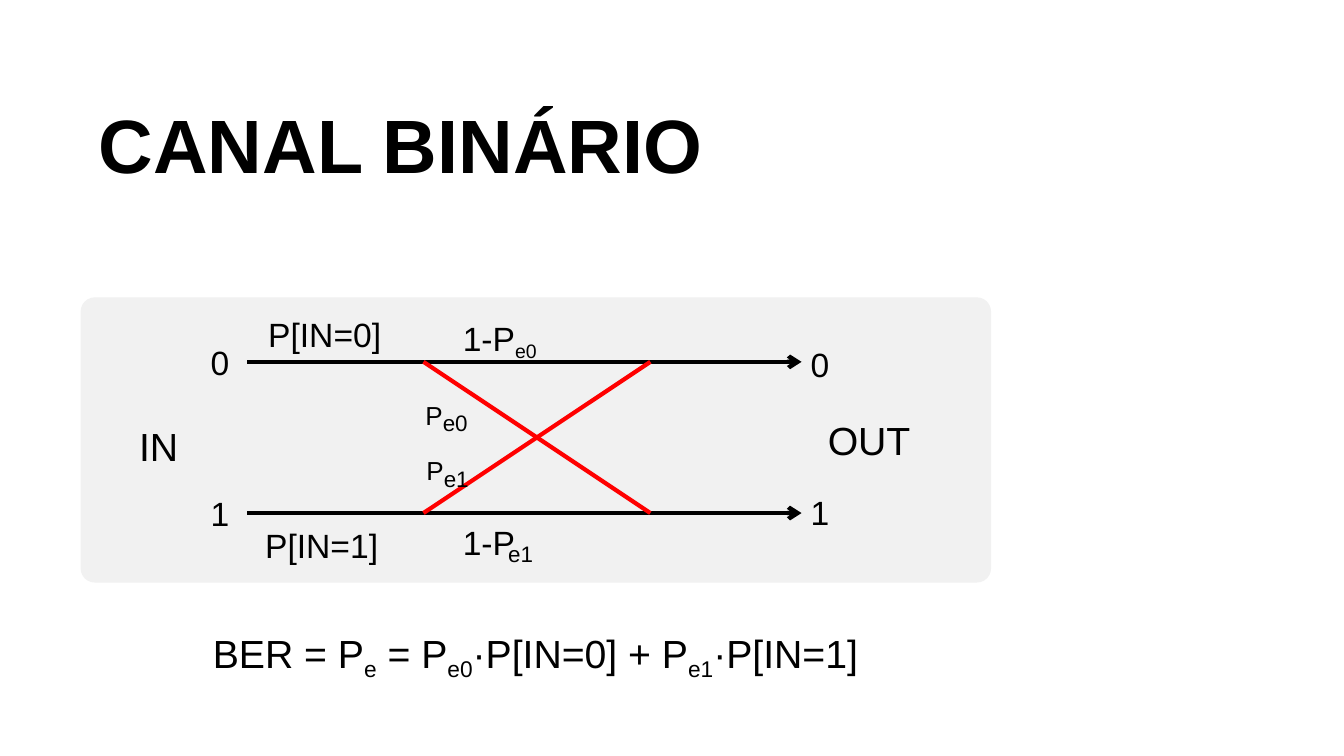
from lxml import etree
from pptx import Presentation
from pptx.dml.color import RGBColor
from pptx.enum.shapes import MSO_CONNECTOR, MSO_SHAPE
from pptx.enum.text import MSO_ANCHOR, PP_ALIGN
from pptx.oxml.ns import qn
from pptx.util import Inches, Pt

FONT = "Arial"
BLACK, RED, PANEL = "000000", "FF0000", "F1F1F1"


def color(hex_string):
    return RGBColor.from_string(hex_string)


def format_paragraph(p, size, bold=False, align=PP_ALIGN.LEFT):
    p.alignment = align
    p.font.name = FONT
    p.font.size = Pt(size)
    p.font.bold = bold
    p.font.color.rgb = color(BLACK)


def add_title(slide, text, left, top, width, height):
    title = slide.shapes.title
    title.left, title.top = Inches(left), Inches(top)
    title.width, title.height = Inches(width), Inches(height)
    tf = title.text_frame
    tf.text = text
    tf.vertical_anchor = MSO_ANCHOR.MIDDLE
    p = tf.paragraphs[0]
    format_paragraph(p, 54, bold=True)
    p.line_spacing = 0.9


def add_label(slide, parts, left, top, width, height, size, align=PP_ALIGN.LEFT):
    """Write parts, each (text, baseline percent[, own size]), in one line."""
    box = slide.shapes.add_textbox(Inches(left), Inches(top), Inches(width), Inches(height))
    tf = box.text_frame
    tf.word_wrap = True
    tf.margin_left = tf.margin_right = tf.margin_bottom = 0
    tf.margin_top = Inches(0.01)
    p = tf.paragraphs[0]
    format_paragraph(p, size, align=align)
    p.space_before = Pt(1)
    for text, baseline, *own_size in parts:
        r = p.add_run()
        r.text = text
        if own_size:
            r.font.size = Pt(own_size[0])
        if baseline:
            r._r.get_or_add_rPr().set("baseline", str(baseline * 1000))


def add_line(slide, x1, y1, x2, y2, hex_string, arrow=False):
    line = slide.shapes.add_connector(
        MSO_CONNECTOR.STRAIGHT, Inches(x1), Inches(y1), Inches(x2), Inches(y2))
    line.line.color.rgb = color(hex_string)
    line.line.width = Pt(3)
    if arrow:
        etree.SubElement(line.line._get_or_add_ln(), qn("a:tailEnd"),
                         type="arrow", w="med", len="med")
    etree.SubElement(line.element.spPr, qn("a:effectLst"))


def add_panel(slide, left, top, width, height):
    sp = slide.shapes.add_shape(MSO_SHAPE.ROUNDED_RECTANGLE, Inches(left), Inches(top),
                                Inches(width), Inches(height))
    sp.adjustments[0] = 0.05
    sp.shadow.inherit = False
    sp.fill.solid()
    sp.fill.fore_color.rgb = color(PANEL)
    sp.line.fill.background()


def add_channel(slide, left, top, width, height):
    add_panel(slide, left, top, width, height)
    lane_start, lane_end = left + 1.65, left + 7.15
    cross_start, cross_end = left + 3.4, left + 5.65
    lane_0, lane_1 = top + 0.64, top + 2.14

    for y in (lane_0, lane_1):
        add_line(slide, lane_start, y, lane_end, y, BLACK, arrow=True)
    add_line(slide, cross_start, lane_1, cross_end, lane_0, RED)
    add_line(slide, cross_start, lane_0, cross_end, lane_1, RED)

    # parts, x, y, width, height, size
    labels = [
        ([("0", 0)], 1.29, 0.43, 0.21, 0.42, 24),
        ([("1", 0)], 1.29, 1.93, 0.21, 0.42, 24),
        ([("0", 0)], 7.24, 0.45, 0.21, 0.42, 24),
        ([("1", 0)], 7.24, 1.92, 0.21, 0.42, 24),
        ([("IN", 0)], 0.58, 1.23, 0.41, 0.49, 28),
        ([("OUT", 0)], 7.41, 1.17, 1.05, 0.49, 28),
        ([("P[IN=0]", 0)], 1.86, 0.15, 1.22, 0.42, 24),
        ([("P[IN=1]", 0)], 1.83, 2.25, 1.22, 0.42, 24),
        ([("P", 14, 32), ("e0", 0)], 3.42, 0.88, 0.68, 0.37, 16),
        ([("P", 14, 32), ("e1", 0)], 3.43, 1.43, 0.68, 0.37, 16),
        ([("1-P", 0), ("e0", -21)], 3.79, 0.19, 1.14, 0.42, 24),
        ([("1-P", 0)], 3.79, 2.22, 0.75, 0.42, 24),
        ([("e1", 0)], 4.24, 2.4, 0.39, 0.28, 16),
    ]
    for parts, x, y, w, h, size in labels:
        add_label(slide, parts, left + x, top + y, w, h, size)


def add_formula(slide, left, top, width, height):
    parts = [("BER = P", 0), ("e", -25), (" = P", 0), ("e0", -25),
             ("·P[IN=0] + P", 0), ("e1", -25), ("·P[IN=1]", 0)]
    add_label(slide, parts, left, top, width, height, 28, PP_ALIGN.CENTER)


def main():
    prs = Presentation()
    prs.slide_width, prs.slide_height = Inches(13.33), Inches(7.5)
    slide = prs.slides.add_slide(prs.slide_layouts[5])
    add_title(slide, "CANAL BINÁRIO", 0.88, 0.75, 11.58, 1.45)
    add_channel(slide, 0.8, 2.95, 9.03, 2.83)
    add_formula(slide, 1.5, 6.23, 7.62, 0.49)
    prs.save("out.pptx")


if __name__ == "__main__":
    main()
